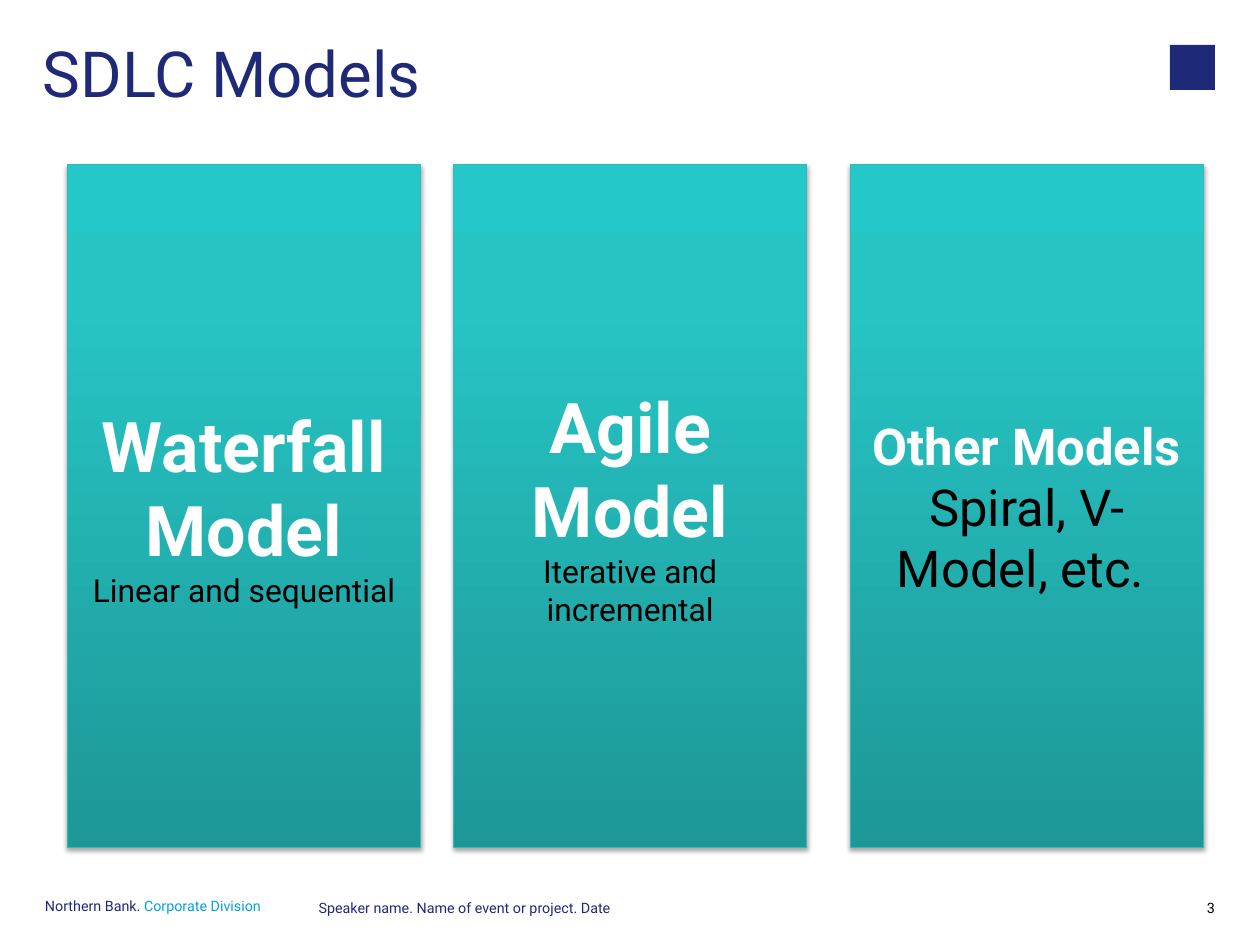
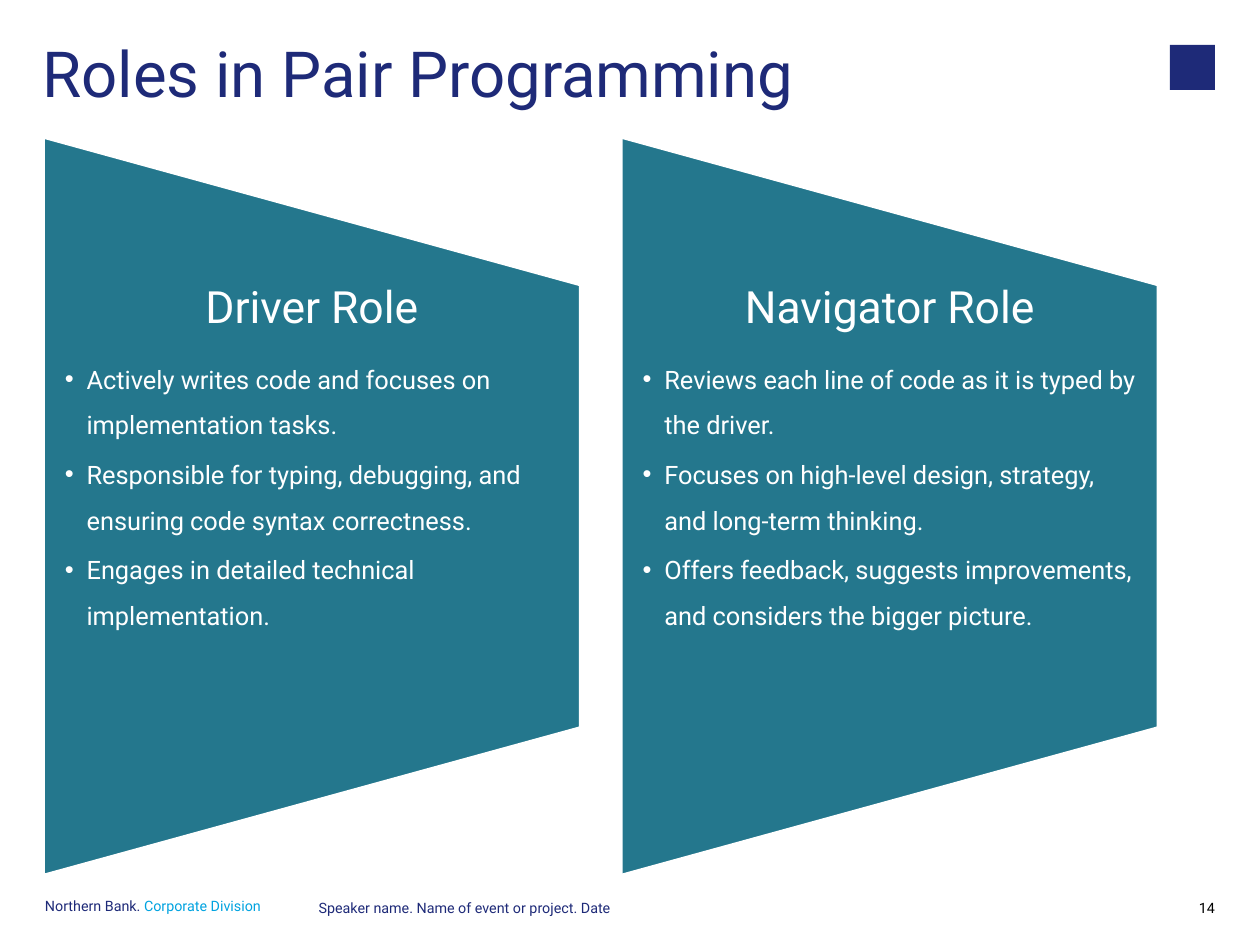
import pptx
import pptx.util
import pptx.oxml
import pptx.oxml.ns
import pptx.dml.color
import pptx.enum.shapes
import pptx.enum.text

COLS, ROWS = 28, 21
WIDTH, HEIGHT = pptx.util.Cm(COLS), pptx.util.Cm(ROWS)
FONT = "Roboto"
HUES = {
    "navy": "1E2A78", "sky": "00A3E0", "black": "000000", "white": "FFFFFF",
    "panel": "24778D", "edge": "37B7B7",
    "low": "1E9797", "mid": "27C4C4", "high": "24C8C8",
}
SHAPES = pptx.enum.shapes.MSO_SHAPE
ANCHOR = pptx.enum.text.MSO_ANCHOR
ALIGN = pptx.enum.text.PP_ALIGN
SPACE = 'xmlns:a="http://schemas.openxmlformats.org/drawingml/2006/main"'


def place(x, y, w, h):
    across, down = WIDTH / COLS, HEIGHT / ROWS
    return [pptx.util.Emu(round(n)) for n in (x * across, y * down, w * across, h * down)]


def hue(name):
    return pptx.dml.color.RGBColor.from_string(HUES[name])


def node(xml):
    return pptx.oxml.parse_xml(xml)


def write(para, text, size=16, color="white", bold=False, align=ALIGN.LEFT,
          lead=None, after=0, dot=False):
    if dot:
        props = para._p.get_or_add_pPr()
        inset = pptx.util.Inches(0.19)
        props.set("marL", str(inset))
        props.set("indent", str(-inset))
        props.append(node(f'<a:buFont {SPACE} typeface="Arial"/>'))
        props.append(node(f'<a:buChar {SPACE} char="•"/>'))
    para.alignment = align
    para.space_after = pptx.util.Pt(after)
    if lead:
        para.line_spacing = lead
    run = para.add_run()
    run.text = text
    run.font.name = FONT
    run.font.size = pptx.util.Pt(size)
    run.font.bold = bold
    run.font.color.rgb = hue(color)


def setup(frame, anchor=ANCHOR.TOP, side=0, edge=0):
    frame.word_wrap = True
    frame.vertical_anchor = anchor
    frame.margin_left = frame.margin_right = pptx.util.Inches(side)
    frame.margin_top = frame.margin_bottom = pptx.util.Inches(edge)
    return frame


def label(slide, spot, *runs, anchor=ANCHOR.TOP, **form):
    frame = setup(slide.shapes.add_textbox(*place(*spot)).text_frame, anchor)
    for text, color in runs:
        write(frame.paragraphs[0], text, color=color, **form)


def block(slide, kind, spot, fill, line=None, weight=0):
    shape = slide.shapes.add_shape(kind, *place(*spot))
    shape.shadow.inherit = False
    shape.fill.solid()
    shape.fill.fore_color.rgb = hue(fill)
    if line:
        shape.line.color.rgb = hue(line)
        shape.line.width = pptx.util.Pt(weight)
    else:
        shape.line.fill.background()
    return shape


def shade(shape):
    props = shape._element.spPr
    stops = "".join(
        f'<a:gs pos="{pos * 1000}"><a:srgbClr val="{HUES[name]}"/></a:gs>'
        for pos, name in ((0, "low"), (80, "mid"), (100, "high")))
    props.replace(props.find(pptx.oxml.ns.qn("a:solidFill")), node(
        f'<a:gradFill {SPACE} rotWithShape="1"><a:gsLst>{stops}</a:gsLst>'
        '<a:lin ang="16200000" scaled="0"/></a:gradFill>'))
    blur, drop = pptx.util.Pt(3.1), pptx.util.Pt(1.8)
    props.find(pptx.oxml.ns.qn("a:effectLst")).append(node(
        f'<a:outerShdw {SPACE} blurRad="{blur}" dist="{drop}" dir="5400000" '
        f'rotWithShape="0"><a:srgbClr val="{HUES["black"]}">'
        '<a:alpha val="35000"/></a:srgbClr></a:outerShdw>'))


def start(deck, title, number):
    slide = deck.slides.add_slide(deck.slide_layouts[6])
    foot = dict(size=9, lead=pptx.util.Pt(9))
    label(slide, (1, 20, 5.56, 0.5), ("Northern Bank. ", "navy"),
          ("Corporate Division", "sky"), **foot)
    label(slide, (7.08, 20.05, 13.7, 0.5),
          ("Speaker name. Name of event or project. Date", "navy"), **foot)
    label(slide, (26, 20.05, 1, 0.5), (str(number), "black"),
          align=ALIGN.RIGHT, **foot)
    block(slide, SHAPES.RECTANGLE, (26, 1, 1, 1), "navy")
    label(slide, (0.95, 0.93, 24.05, 1.55), (title, "navy"),
          size=40, lead=0.9, anchor=ANCHOR.BOTTOM)
    return slide


def card(slide, left, lines):
    shape = block(slide, SHAPES.RECTANGLE, (left, 3.65, 7.85, 15.18),
                  "mid", "edge", 0.75)
    shade(shape)
    frame = setup(shape.text_frame, ANCHOR.MIDDLE, 0.11, 0.06)
    for i, runs in enumerate(lines):
        para = frame.add_paragraph() if i else frame.paragraphs[0]
        for text, size, head in runs:
            write(para, text, size=size, bold=head, align=ALIGN.CENTER,
                  color="white" if head else "black")


def role(slide, left, head, points):
    wide, tall, mid = 11.94, 16.41, 11.25
    spot = (left + (wide - tall) / 2, mid - wide / 2, tall, wide)
    shape = block(slide, SHAPES.FLOWCHART_MANUAL_OPERATION, spot, "panel", "white", 2)
    shape.rotation = 270
    inner = tall * 0.6
    box = slide.shapes.add_textbox(*place(left, mid - inner / 2, wide, inner))
    frame = setup(box.text_frame, side=0.19)
    write(frame.paragraphs[0], head, size=28, align=ALIGN.CENTER, lead=0.9, after=10)
    for point in points:
        write(frame.add_paragraph(), point, lead=1.5, after=2.4, dot=True)


def main():
    deck = pptx.Presentation()
    deck.slide_width = WIDTH
    deck.slide_height = HEIGHT

    slide = start(deck, "SDLC Models", 3)
    cards = (
        (1.5, [[("Waterfall Model", 44, True)], [("Linear and sequential", 20, False)]]),
        (10.08, [[("Agile Model", 44, True)], [("Iterative and incremental", 20, False)]]),
        (18.9, [[("Other Models ", 32, True), ("Spiral, V-Model, etc. ", 32, False)]]),
    )
    for left, lines in cards:
        card(slide, left, lines)

    slide = start(deck, "Roles in Pair Programming", 14)
    roles = (
        ("Driver Role", (
            "Actively writes code and focuses on implementation tasks.",
            "Responsible for typing, debugging, and ensuring code syntax correctness.",
            "Engages in detailed technical implementation.")),
        ("Navigator Role", (
            "Reviews each line of code as it is typed by the driver.",
            "Focuses on high-level design, strategy, and long-term thinking.",
            "Offers feedback, suggests improvements, and considers the bigger picture.")),
    )
    for i, (head, points) in enumerate(roles):
        role(slide, 0.96 + 12.84 * i, head, points)

    deck.save("out.pptx")


if __name__ == "__main__":
    main()
